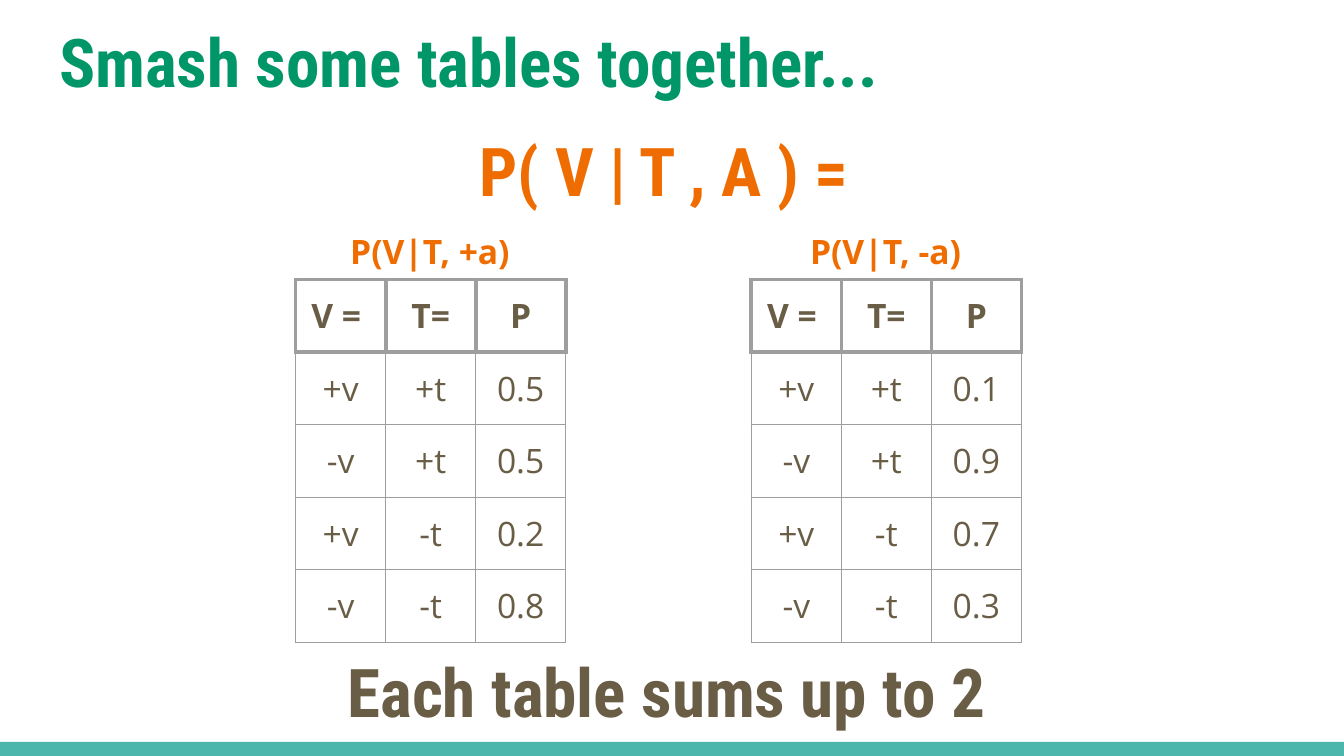
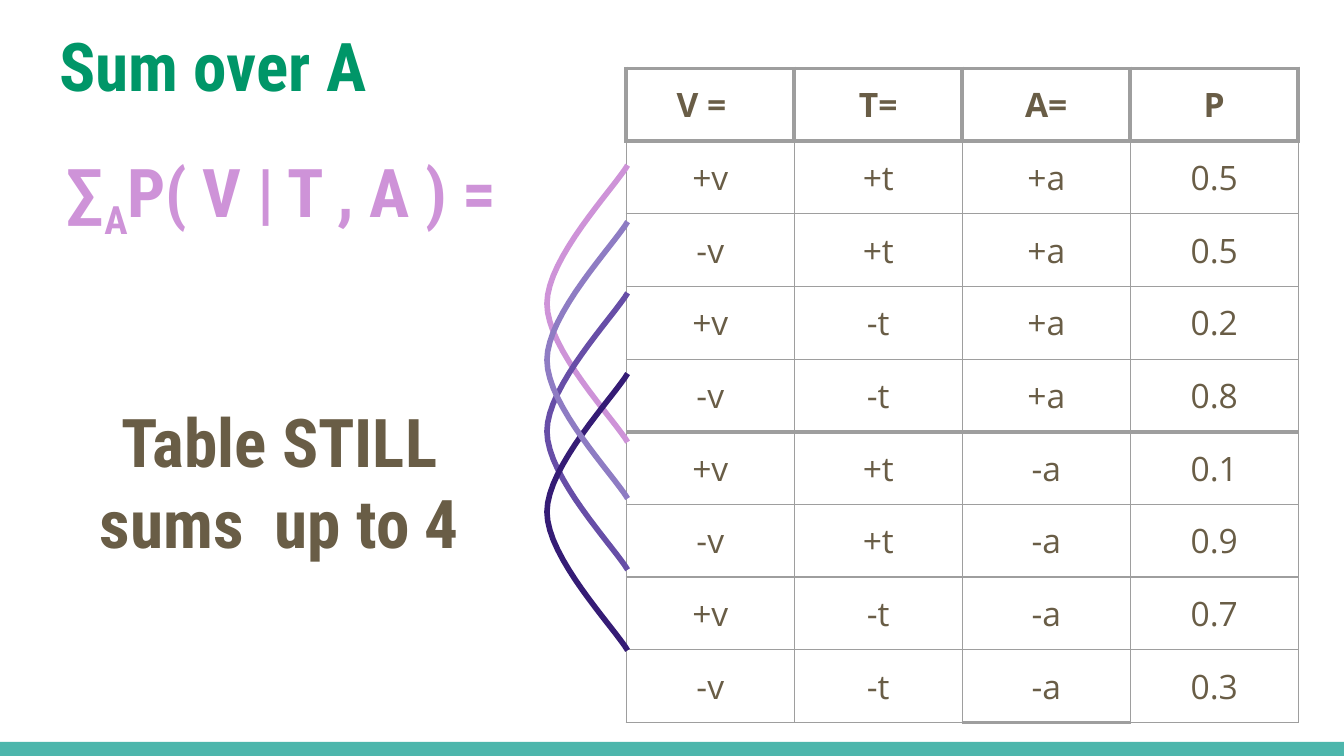
"""Build two slides on joining and summing probability tables."""
import itertools
import pptx
import pptx.dml.color
import pptx.enum.shapes
import pptx.enum.text
import pptx.oxml
import pptx.oxml.ns
import pptx.util

Inches = pptx.util.Inches
Pt = pptx.util.Pt
RGBColor = pptx.dml.color.RGBColor
ALIGN = pptx.enum.text.PP_ALIGN
ANCHOR = pptx.enum.text.MSO_ANCHOR

GREEN = RGBColor(0x00, 0x96, 0x68)
ORANGE = RGBColor(0xEF, 0x6C, 0x00)
BROWN = RGBColor(0x69, 0x5D, 0x46)
TEAL = RGBColor(0x4D, 0xB6, 0xAC)
GREY = RGBColor(0x9E, 0x9E, 0x9E)
PINK = RGBColor(0xCE, 0x93, 0xD8)
LILAC = RGBColor(0x8E, 0x7C, 0xC3)
VIOLET = RGBColor(0x67, 0x4E, 0xA7)
INDIGO = RGBColor(0x35, 0x1C, 0x75)

HEAD = "Roboto Condensed"
BODY = "Open Sans"
THIN, THICK = 0.75, 2.25
ROW = 0.54

PAIRS = [(v, t) for t, v in itertools.product(("+t", "-t"), ("+v", "-v"))]
ODDS = {"+a": ("0.5", "0.5", "0.2", "0.8"), "-a": ("0.1", "0.9", "0.7", "0.3")}


def write(frame, text, font=HEAD, size=36, color=BROWN, bold=True,
          align=ALIGN.CENTER, anchor=ANCHOR.TOP):
    """Fill a frame; newlines part paragraphs, underscores fence a subscript."""
    frame.word_wrap = True
    frame.vertical_anchor = anchor
    frame.margin_left = frame.margin_right = Inches(0.1)
    frame.margin_top = frame.margin_bottom = Inches(0.1)
    for i, line in enumerate(text.split("\n")):
        para = frame.add_paragraph() if i else frame.paragraphs[0]
        para.alignment = align
        for j, part in enumerate(line.split("_")):
            run = para.add_run()
            run.text = part
            run.font.name = font
            run.font.size = Pt(size)
            run.font.bold = bold
            run.font.color.rgb = color
            if j % 2:
                run.font._element.set("baseline", "-25000")


def edge(cell, side, width):
    """Draw one border of a table cell."""
    space = pptx.oxml.ns.nsdecls("a")
    cell._tc.get_or_add_tcPr().append(pptx.oxml.parse_xml(
        f'<a:ln{side} {space} w="{Pt(width)}"><a:solidFill>'
        f'<a:srgbClr val="{GREY}"/></a:solidFill></a:ln{side}>'))


def bend(points, steps=16):
    """Return points along a cubic curve."""
    curve = []
    for step in range(steps + 1):
        t = step / steps
        u = 1 - t
        parts = (u ** 3, 3 * u * u * t, 3 * u * t * t, t ** 3)
        curve.append(tuple(sum(w * p[k] for w, p in zip(parts, points))
                           for k in (0, 1)))
    return curve


class Deck:
    """Hold the style and the current slide."""

    def __init__(self):
        """Start an empty deck."""
        self.show = pptx.Presentation()
        self.show.slide_width = Inches(10)
        self.show.slide_height = Inches(5.625)
        self.slide = None

    def page(self, title, top):
        """Add a slide with its band and title."""
        self.slide = self.show.slides.add_slide(self.show.slide_layouts[5])
        band = self.slide.shapes.add_shape(
            pptx.enum.shapes.MSO_SHAPE.RECTANGLE,
            0, Inches(5.52), Inches(10), Inches(0.11))
        band.shadow.inherit = False
        band.fill.solid()
        band.fill.fore_color.rgb = TEAL
        band.line.fill.background()
        head = self.slide.shapes.title
        head.left, head.top = Inches(0.34), Inches(top)
        head.width, head.height = Inches(9.32), Inches(0.77)
        head.text_frame.auto_size = pptx.enum.text.MSO_AUTO_SIZE.NONE
        write(head.text_frame, title, color=GREEN, align=ALIGN.LEFT)

    def text(self, text, left, top, width, height=0.77, **style):
        """Add a text box."""
        box = self.slide.shapes.add_textbox(
            Inches(left), Inches(top), Inches(width), Inches(height))
        write(box.text_frame, text, **style)

    def table(self, rows, left, top, width, heavy=()):
        """Add a grid with a bold head and heavy lower edges on some cells."""
        cols = len(rows[0])
        grid = self.slide.shapes.add_table(
            len(rows), cols, Inches(left), Inches(top),
            Inches(width * cols), Inches(ROW * len(rows))).table
        grid.first_row = grid.horz_banding = False
        for col in grid.columns:
            col.width = Inches(width)
        for r, row in enumerate(rows):
            grid.rows[r].height = Inches(ROW)
            for c, value in enumerate(row):
                cell = grid.cell(r, c)
                write(cell.text_frame, value, font=BODY, size=18, bold=r == 0)
                cell.vertical_anchor = ANCHOR.MIDDLE
                cell.margin_left = cell.margin_right = Inches(0.1)
                cell.margin_top = cell.margin_bottom = Inches(0.1)
                wide = {"L": r == 0, "R": r == 0,
                        "T": r < 2 or (r - 1, c) in heavy,
                        "B": r == 0 or (r, c) in heavy}
                for side, bold in wide.items():
                    edge(cell, side, THICK if bold else THIN)
                cell.fill.background()

    def arc(self, top, color):
        """Link two rows with a curve that bows to the left."""
        half = bend([(4.67, 0), (4.57, 0.17), (4.07, 0.69), (4.07, 1.03)])
        full = half + [(x, 2.06 - y) for x, y in reversed(half[:-1])]
        dots = [(Inches(x), Inches(top + y)) for x, y in full]
        path = self.slide.shapes.build_freeform(*dots[0])
        path.add_line_segments(dots[1:], close=False)
        shape = path.convert_to_shape()
        shape.shadow.inherit = False
        shape.fill.background()
        shape.line.color.rgb = color
        shape.line.width = Pt(3)


def main():
    """Build and save the deck."""
    deck = Deck()

    deck.page("Smash some tables together...", 0.05)
    deck.text("P( V | T , A ) = ", 0.34, 0.86, 9.32, color=ORANGE)
    for left, (sign, odds) in zip((2.2, 5.59), ODDS.items()):
        rows = [(*pair, odd) for pair, odd in zip(PAIRS, odds)]
        deck.table([("V =  ", "T=", "P")] + rows, left, 2.08, 0.67)
        deck.text(f"P(V|T, {sign})", left, 1.65, 2, 0.43, font=BODY, size=18,
                  color=ORANGE, anchor=ANCHOR.MIDDLE)
    deck.text("Each table sums up to 2", 0.3, 4.74, 9.32)

    deck.page("Sum over A", 0.08)
    rows = [(*pair, sign, odd) for sign, odds in ODDS.items()
            for pair, odd in zip(PAIRS, odds)]
    heavy = {(4, c) for c in range(4)} | {(8, 2)}
    deck.table([("V =  ", "T=", "A=", "P")] + rows, 4.66, 0.51, 1.25, heavy)
    deck.text("∑_A_P( V | T , A ) =", 0.4, 1.02, 4.17, color=PINK,
              align=ALIGN.LEFT)
    deck.text("Table STILL\nsums  up to 4", 0.31, 2.88, 3.54)
    for top, color in ((1.23, PINK), (2.18, VIOLET),
                       (2.78, INDIGO), (1.65, LILAC)):
        deck.arc(top, color)

    deck.show.save("out.pptx")


if __name__ == "__main__":
    main()
